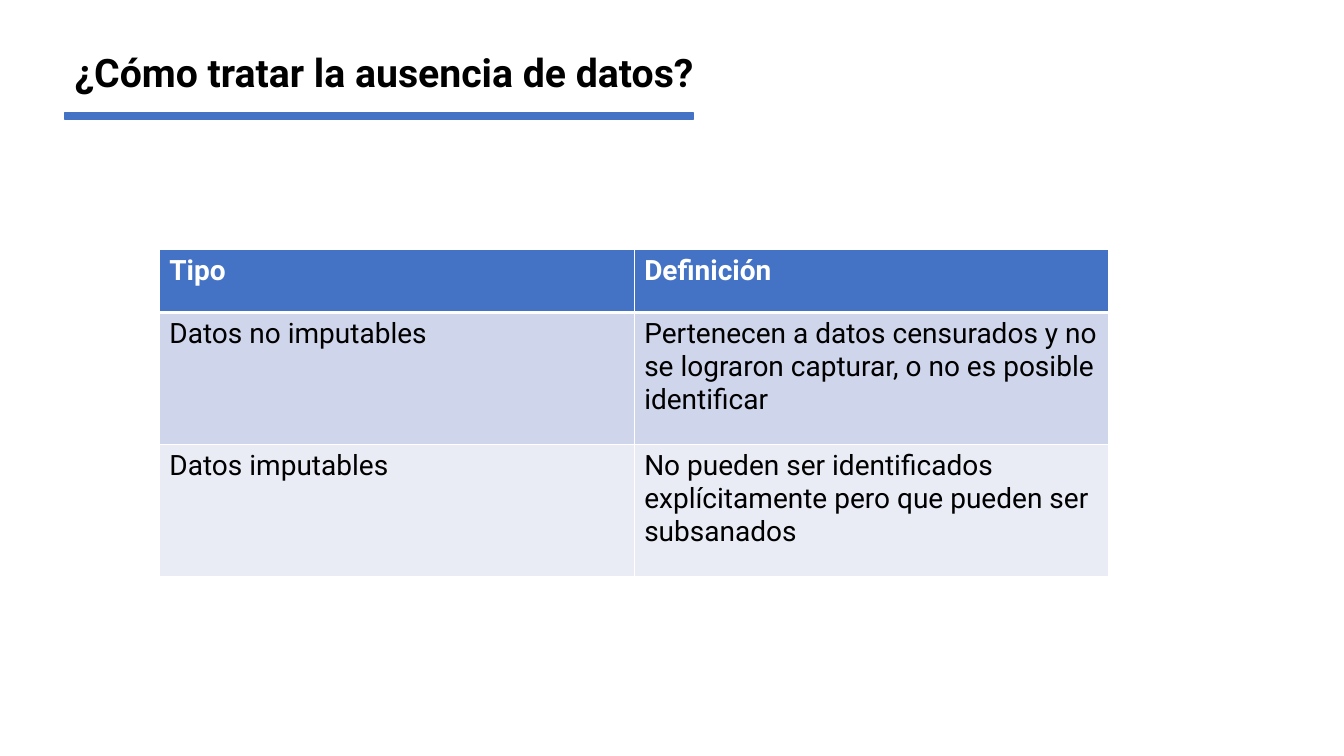
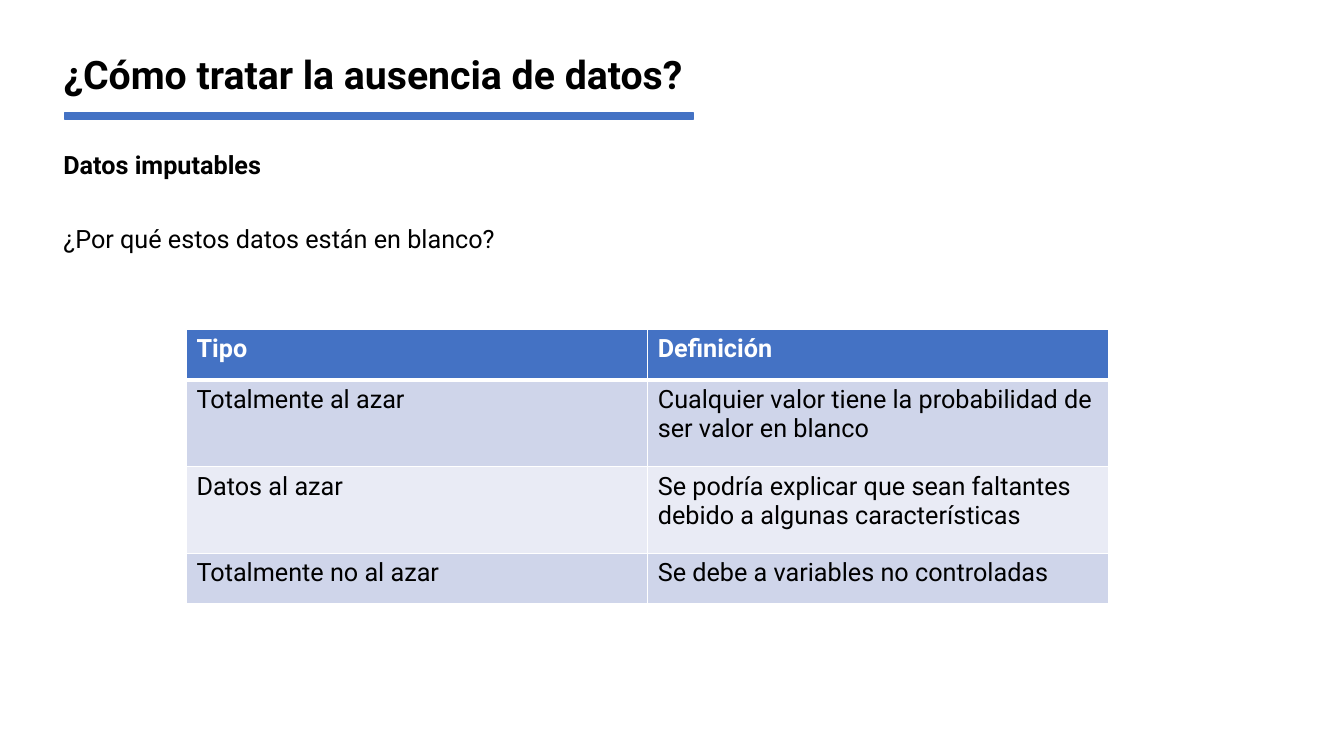
"""Build two slides on how to treat missing data."""
from dataclasses import dataclass

from pptx import Presentation
from pptx.dml.color import RGBColor
from pptx.enum import shapes, text
from pptx.oxml import xmlchemy
from pptx.util import Inches, Pt

FONT = "Roboto"
TITLE = "¿Cómo tratar la ausencia de datos?"
HEADER = ("Tipo", "Definición")
COLORS = {
    "accent": "4472C4",
    "band": "CFD5EA",
    "band_light": "E9EBF5",
    "text": "000000",
    "white": "FFFFFF",
}


@dataclass(frozen=True)
class Box:
    left: float
    top: float
    width: float
    height: float

    def emu(self) -> tuple:
        return tuple(Inches(v) for v in (self.left, self.top, self.width, self.height))


@dataclass(frozen=True)
class Label:
    words: str
    box: Box
    bold: bool


@dataclass(frozen=True)
class TableSpec:
    left: float
    top: float
    width: float
    size: int
    heights: tuple
    rows: tuple


@dataclass(frozen=True)
class SlideSpec:
    title_box: Box
    labels: tuple
    table: TableSpec


RULE_BOX = Box(0.64, 1.12, 6.24, 0.06)
SLIDES = (
    SlideSpec(
        Box(0.64, 0.32, 7.47, 0.84),
        (),
        TableSpec(1.58, 2.47, 9.42, 20, (0.63, 1.31, 1.31), (
            ("Datos no imputables",
             "Pertenecen a datos censurados y no se lograron capturar, o no es posible identificar"),
            ("Datos imputables",
             "No pueden ser identificados explícitamente pero que pueden ser subsanados"),
        )),
    ),
    SlideSpec(
        Box(0.53, 0.46, 7.75, 0.61),
        (
            Label("Datos imputables", Box(0.53, 1.43, 3.77, 0.4), True),
            Label("¿Por qué estos datos están en blanco?", Box(0.53, 2.17, 7.28, 0.4), False),
        ),
        TableSpec(1.85, 3.27, 9.15, 18, (0.5, 0.86, 0.86, 0.5), (
            ("Totalmente al azar",
             "Cualquier valor tiene la probabilidad de ser valor en blanco"),
            ("Datos al azar",
             "Se podría explicar que sean faltantes debido a algunas características"),
            ("Totalmente no al azar", "Se debe a variables no controladas"),
        )),
    ),
)


def rgb(name: str) -> RGBColor:
    return RGBColor.from_string(COLORS[name])


def add_run(p, words: str, size: int, color: str = "text", bold: bool = False) -> None:
    r = p.add_run()
    r.text = words
    r.font.name = FONT
    r.font.size = Pt(size)
    r.font.bold = bold
    r.font.color.rgb = rgb(color)


def add_title(s, box: Box) -> None:
    sp = s.shapes.title
    sp.left, sp.top, sp.width, sp.height = box.emu()
    tf = sp.text_frame
    tf.word_wrap = True
    tf.auto_size = text.MSO_AUTO_SIZE.NONE
    tf.vertical_anchor = text.MSO_ANCHOR.MIDDLE
    p = tf.paragraphs[0]
    p.alignment = text.PP_ALIGN.LEFT
    p.line_spacing = 0.9
    add_run(p, TITLE, 28, bold=True)


def add_rule(s) -> None:
    sp = s.shapes.add_shape(shapes.MSO_SHAPE.RECTANGLE, *RULE_BOX.emu())
    sp.shadow.inherit = False
    sp.fill.solid()
    sp.fill.fore_color.rgb = rgb("accent")
    sp.line.color.rgb = rgb("accent")
    sp.line.width = Pt(1)


def add_label(s, label: Label) -> None:
    tf = s.shapes.add_textbox(*label.box.emu()).text_frame
    tf.word_wrap = True
    tf.auto_size = text.MSO_AUTO_SIZE.SHAPE_TO_FIT_TEXT
    add_run(tf.paragraphs[0], label.words, 18, bold=label.bold)


def set_borders(cell, top: float, bottom: float) -> None:
    tc_pr = cell._tc.get_or_add_tcPr()
    for side, width in (("L", 1), ("R", 1), ("T", top), ("B", bottom)):
        ln = xmlchemy.OxmlElement(f"a:ln{side}")
        ln.set("w", str(Pt(width)))
        fill = xmlchemy.OxmlElement("a:solidFill")
        color = xmlchemy.OxmlElement("a:srgbClr")
        color.set("val", COLORS["white"])
        fill.append(color)
        ln.append(fill)
        tc_pr.append(ln)


def add_table(s, spec: TableSpec) -> None:
    rows = (HEADER, *spec.rows)
    box = Box(spec.left, spec.top, spec.width, sum(spec.heights))
    table = s.shapes.add_table(len(rows), len(HEADER), *box.emu()).table
    for i, (row, height) in enumerate(zip(rows, spec.heights)):
        table.rows[i].height = Inches(height)
        header = i == 0
        fill = "accent" if header else ("band_light", "band")[i % 2]
        for j, words in enumerate(row):
            cell = table.cell(i, j)
            set_borders(cell, 3 if i == 1 else 1, 3 if header else 1)
            cell.fill.solid()
            cell.fill.fore_color.rgb = rgb(fill)
            add_run(cell.text_frame.paragraphs[0], words, spec.size,
                    "white" if header else "text", header)


def main() -> None:
    prs = Presentation()
    prs.slide_width, prs.slide_height = Inches(13.33), Inches(7.5)
    for spec in SLIDES:
        s = prs.slides.add_slide(prs.slide_layouts[5])
        add_title(s, spec.title_box)
        for label in spec.labels:
            add_label(s, label)
        add_rule(s)
        add_table(s, spec.table)
    prs.save("out.pptx")


if __name__ == "__main__":
    main()
